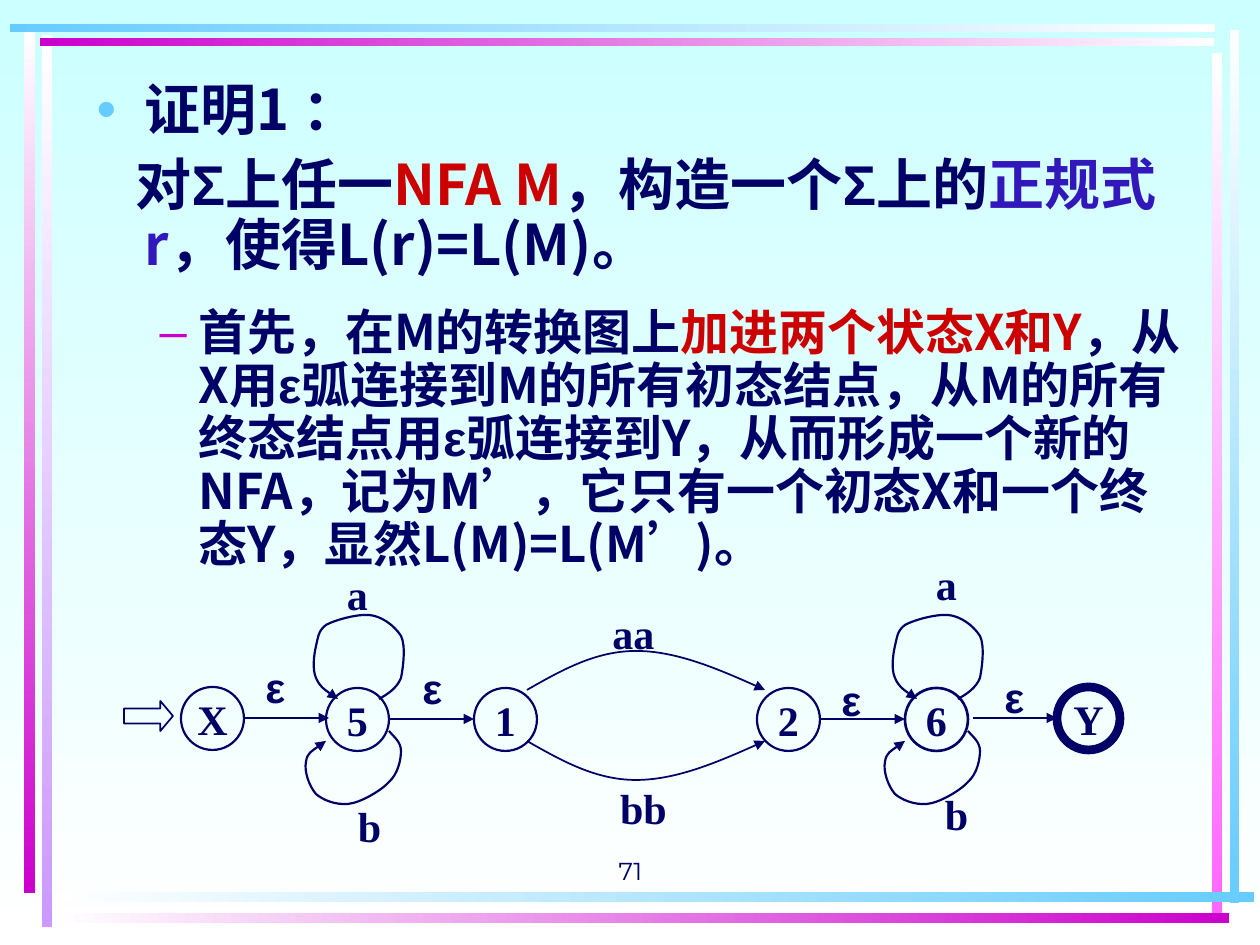
from lxml import etree
from pptx import Presentation
from pptx import util as u
from pptx.dml.color import RGBColor
from pptx.enum import shapes, text
from pptx.oxml.ns import qn

SCALE = 914400 / 126  # EMU per px
NAVY = RGBColor(0x00, 0x00, 0x66)
RED = RGBColor(0xCC, 0x00, 0x00)
INDIGO = RGBColor(0x32, 0x17, 0xBB)
SKY = RGBColor(0x66, 0xCC, 0xFF)
MAGENTA = RGBColor(0xCC, 0x00, 0xCC)
PINK = RGBColor(0xFF, 0x66, 0xFF)
LILAC = RGBColor(0xCC, 0x99, 0xFF)
AQUA = RGBColor(0xCC, 0xFF, 0xFF)
WHITE = RGBColor(0xFF, 0xFF, 0xFF)
HAN, GREEK, SERIF = "Noto Sans CJK SC", "Arial", "Times New Roman"
NODE = 63
DOWN, ACROSS = 270, 0

# left, top, width, height, first colour, last colour, angle
BANDS = [
    (42, 35, 10, 892, WHITE, LILAC, DOWN),
    (24, 31, 11, 862, WHITE, MAGENTA, DOWN),
    (1230, 30, 9, 873, WHITE, SKY, DOWN),
    (1212, 53, 10, 860, WHITE, PINK, DOWN),
    (57, 892, 1197, 10, WHITE, SKY, ACROSS),
    (57, 913, 1172, 10, WHITE, MAGENTA, ACROSS),
    (40, 38, 1174, 8, MAGENTA, WHITE, ACROSS),
    (10, 24, 1205, 8, SKY, WHITE, ACROSS),
]
# name, left, top, line width
STATES = [("X", 181, 687, 1.25), ("5", 326, 688, 1.25), ("1", 474, 688, 1.25),
          ("2", 757, 688, 1.25), ("6", 905, 688, 1.5), ("Y", 1057, 687, 5)]
# from x, to x, y
EDGES = [(244, 329, 718), (389, 474, 719), (820, 905, 719), (973, 1057, 718)]
LABELS = [("a", 326, 562), ("b", 338, 794), ("a", 915, 552), ("b", 925, 782),
          ("aa", 602, 601), ("bb", 612, 776), ("ε", 244, 655),
          ("ε", 401, 656), ("ε", 820, 668), ("ε", 983, 665)]
# Bezier points, relative to the corner of a state
LOOP_A = [(53, 11), (62, 6), (71, 0), (75, -10), (77, -20), (80, -42), (75, -52),
          (68, -63), (55, -72), (43, -73), (31, -74), (9, -68), (0, -63),
          (-8, -57), (-8, -50), (-10, -42), (-12, -33), (-14, -19), (-10, -10),
          (-6, -1), (3, 5), (12, 11)]
LOOP_B = [(63, 43), (68, 49), (75, 54), (75, 63), (75, 72), (72, 86), (63, 94),
          (55, 103), (34, 115), (22, 116), (9, 117), (-3, 112), (-10, 106),
          (-17, 98), (-22, 83), (-20, 74), (-19, 65), (-8, 59), (0, 53)]
ARC = [(527, 690), (562, 670), (596, 651), (636, 651), (675, 651), (721, 670), (765, 690)]
AXIS = 1431  # twice the y about which the two arcs mirror

# margin, indent, space before, size, bullet, runs
BODY = [
    (48, -48, 0, 32, ("•", SKY), [("证明1 ：", HAN, NAVY)]),
    (48, -9, 8, 32, None, [
        ("对", HAN, NAVY), ("Σ", GREEK, NAVY), ("上任一", HAN, NAVY),
        ("NFA M", HAN, RED), ("，构造一个", HAN, NAVY), ("Σ", GREEK, NAVY),
        ("上的", HAN, NAVY), ("正规式r", HAN, INDIGO), ("，使得L(r)=L(M)。", HAN, NAVY)]),
    (102, -39, 17.5, 28, ("–", MAGENTA), [
        ("首先，在M的转换图上", HAN, NAVY), ("加进两个状态X和Y", HAN, RED),
        ("，从X用", HAN, NAVY), ("ε", GREEK, NAVY),
        ("弧连接到M的所有初态结点，从M的所有终态结点用", HAN, NAVY), ("ε", GREEK, NAVY),
        ("弧连接到Y，从而形成一个新的NFA，记为M’，它只有一个初态X和一个终态Y，"
         "显然L(M)=L(M’)。", HAN, NAVY)]),
]


def px(n):
    return u.Emu(round(n * SCALE))


def box(*sides):
    return [px(n) for n in sides]


def shade(fill, first, last, angle):
    fill.gradient()
    fill.gradient_angle = angle
    for stop, color, pos in zip(fill.gradient_stops, (first, last), (0, 1)):
        stop.color.rgb = color
        stop.position = pos


def add_run(para, words, face, size, color=NAVY, bold=True):
    run = para.add_run()
    run.text = words
    font = run.font
    font.name, font.size, font.bold = face, u.Pt(size), bold
    font.color.rgb = color
    asian = HAN if face == GREEK else face
    font._element.find(qn("a:latin")).addnext(
        etree.Element(qn("a:ea"), typeface=asian))


def add_band(slide, left, top, width, height, first, last, angle):
    band = slide.shapes.add_shape(shapes.MSO_SHAPE.RECTANGLE, *box(left, top, width, height))
    band.shadow.inherit = False
    band.line.fill.background()
    shade(band.fill, first, last, angle)


def outline(shape, width):
    shape.shadow.inherit = False
    shape.fill.background()
    shape.line.color.rgb = NAVY
    shape.line.width = u.Pt(width)


def center(shape, words, face):
    frame = shape.text_frame
    frame.word_wrap = False
    frame.margin_left = frame.margin_right = 0
    frame.vertical_anchor = text.MSO_ANCHOR.MIDDLE
    para = frame.paragraphs[0]
    para.alignment = text.PP_ALIGN.CENTER
    add_run(para, words, face, 24)


def add_state(slide, name, left, top, width):
    state = slide.shapes.add_shape(shapes.MSO_SHAPE.OVAL, *box(left, top, NODE, NODE))
    outline(state, width)
    center(state, name, SERIF)


def add_label(slide, words, left, top):
    label = slide.shapes.add_textbox(*box(left, top, NODE, NODE))
    center(label, words, GREEK if words == "ε" else SERIF)


def add_head(line):
    line._get_or_add_ln().append(etree.Element(qn("a:tailEnd"), type="triangle"))


def add_edge(slide, start, end, y):
    edge = slide.shapes.add_connector(shapes.MSO_CONNECTOR.STRAIGHT, *box(start, y, end, y))
    edge.line.color.rgb = NAVY
    edge.line.width = u.Pt(1.25)
    add_head(edge.line)
    etree.SubElement(edge._element.spPr, qn("a:effectLst"))


def add_curve(slide, points, width):
    """Draw an arrow through cubic Bezier points: a start, then threes."""
    pen = slide.shapes.build_freeform(*points[0], scale=SCALE)
    pen.add_line_segments(points[1:], close=False)
    curve = pen.convert_to_shape()
    route = curve._element.find(".//" + qn("a:path"))
    lines = route.findall(qn("a:lnTo"))
    for i in range(0, len(lines), 3):
        bend = etree.SubElement(route, qn("a:cubicBezTo"))
        for line in lines[i:i + 3]:
            bend.append(line[0])
            route.remove(line)
    outline(curve, width)
    add_head(curve.line)


def add_para(para, margin, indent, before, size, bullet, runs):
    props = para._p.get_or_add_pPr()
    props.set("marL", str(px(margin)))
    props.set("indent", str(px(indent)))
    if bullet:
        mark, color = bullet
        tint = etree.SubElement(props, qn("a:buClr"))
        etree.SubElement(tint, qn("a:srgbClr"), val=str(color))
        etree.SubElement(props, qn("a:buChar"), char=mark)
    else:
        etree.SubElement(props, qn("a:buNone"))
    para.line_spacing = 0.9
    para.space_before = u.Pt(before)
    for words, face, color in runs:
        add_run(para, words, face, size, color)


def fill_body(slide):
    title, body = slide.placeholders
    title._element.getparent().remove(title._element)
    body.left, body.top, body.width, body.height = box(84, 76, 1113, 736)
    frame = body.text_frame
    frame.auto_size = text.MSO_AUTO_SIZE.NONE
    for i, item in enumerate(BODY):
        para = frame.add_paragraph() if i else frame.paragraphs[0]
        para.level = 1 if i == 2 else 0
        add_para(para, *item)


def add_number(slide):
    frame = slide.shapes.add_textbox(*box(431, 829, 399, 63)).text_frame
    frame.word_wrap = True
    frame.vertical_anchor = text.MSO_ANCHOR.BOTTOM
    para = frame.paragraphs[0]
    para.alignment = text.PP_ALIGN.CENTER
    add_run(para, "71", "Montserrat", 14, bold=False)


def draw_graph(slide):
    for state in STATES:
        add_state(slide, *state)
    for edge in EDGES:
        add_edge(slide, *edge)
    for name, left, top, _ in STATES:
        if name in "56":
            for loop in (LOOP_A, LOOP_B):
                add_curve(slide, [(left + x, top + y) for x, y in loop], 1.25)
    add_curve(slide, ARC, 1)
    add_curve(slide, [(x, AXIS - y) for x, y in ARC], 1)
    entry = slide.shapes.add_shape(shapes.MSO_SHAPE.RIGHT_ARROW, *box(124, 701, 49, 30))
    entry.adjustments[1] = 0.42
    outline(entry, 1)
    for label in LABELS:
        add_label(slide, *label)


def main():
    deck = Presentation()
    deck.slide_width, deck.slide_height = box(1260, 945)
    slide = deck.slides.add_slide(deck.slide_layouts[1])
    shade(slide.background.fill, AQUA, WHITE, DOWN)
    fill_body(slide)
    for band in BANDS:
        add_band(slide, *band)
    add_number(slide)
    draw_graph(slide)
    deck.save("out.pptx")


if __name__ == "__main__":
    main()
